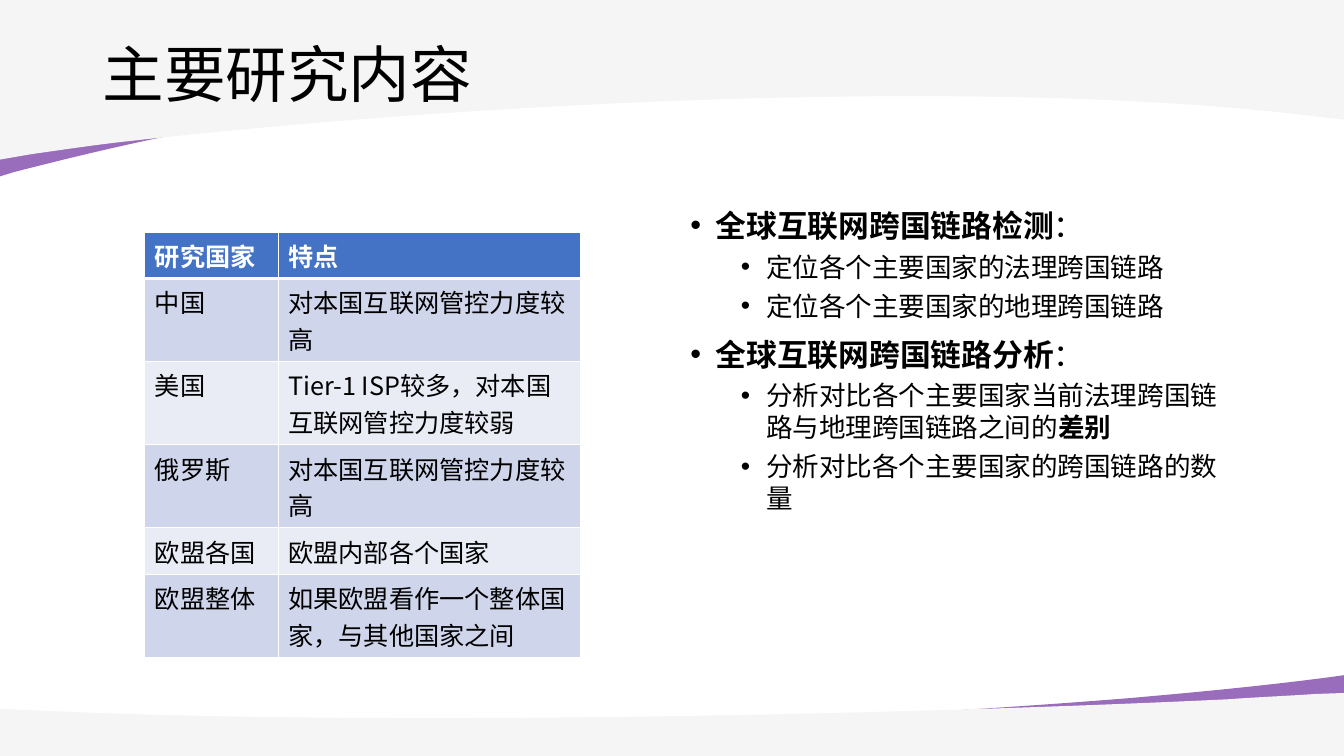
from lxml.etree import SubElement
from pptx import Presentation
from pptx.dml.color import RGBColor
from pptx.enum.text import MSO_ANCHOR, MSO_AUTO_SIZE, PP_ALIGN
from pptx.oxml.ns import qn
from pptx.util import Emu, Pt

PX = 9525
FONT = "Noto Sans CJK SC"
COLORS = {
    "purple": "7030A0",
    "grey": "F5F5F5",
    "black": "000000",
    "white": "FFFFFF",
    "header": "4472C4",
    "odd_row": "CFD5EA",
    "even_row": "E9EBF5",
}

# Each wave: colour, opacity in percent, outline (2 numbers: line, 6 numbers: curve)
WAVES = [
    ("purple", 70, [(1280, 643), (1280, 706), (0, 706), (0, 680),
                    (289, 711, 787, 688, 1074, 665),
                    (1131, 660, 1197, 654, 1266, 645)]),
    ("grey", 100, [(1280, 660), (1280, 720), (0, 720), (0, 675), (42, 677),
                   (376, 692, 874, 680, 1170, 666),
                   (1196, 664, 1223, 663, 1252, 661)]),
    ("purple", 70, [(0, 168), (0, 33), (1280, 33), (1280, 88),
                    (991, 21, 493, 69, 205, 121),
                    (148, 131, 83, 146, 13, 164)]),
    ("grey", 100, [(0, 152), (0, 0), (1280, 0), (1280, 114), (1237, 109),
                   (904, 71, 406, 102, 109, 136),
                   (84, 139, 57, 143, 29, 147)]),
]

COUNTRIES = [
    ("研究国家", "特点"),
    ("中国", "对本国互联网管控力度较高"),
    ("美国", "Tier-1 ISP较多，对本国互联网管控力度较弱"),
    ("俄罗斯", "对本国互联网管控力度较高"),
    ("欧盟各国", "欧盟内部各个国家"),
    ("欧盟整体", "如果欧盟看作一个整体国家，与其他国家之间"),
]

# Each topic: level, then runs of (text, bold)
TOPICS = [
    (0, [("全球互联网跨国链路检测", True), ("：", False)]),
    (1, [("定位各个主要国家的法理跨国链路", False)]),
    (1, [("定位各个主要国家的地理跨国链路", False)]),
    (0, [("全球互联网跨国链路分析", True), ("：", False)]),
    (1, [("分析对比各个主要国家当前法理跨国链路与地理跨国链路之间的", False),
         ("差别", True)]),
    (1, [("分析对比各个主要国家的跨国链路的数量", False)]),
]
LEVELS = [  # size pt, space before pt, left indent px
    (22, 10, 24),
    (19, 5, 72),
]


def px(length):
    return Emu(length * PX)


def rgb(name):
    return RGBColor.from_string(COLORS[name])


def add_run(paragraph, text, size, color="black", bold=False):
    run = paragraph.add_run()
    run.text = text
    run.font.size = Pt(size)
    run.font.bold = bold
    run.font.name = FONT
    run.font.color.rgb = rgb(color)
    SubElement(run.font._element, qn("a:ea"), typeface=FONT)


def bend_sides(wave, outline):
    """Turn the straight sides that have control points into cubic curves."""
    left = min(step[-2] for step in outline)
    top = min(step[-1] for step in outline)
    sides = wave.element.spPr.findall(".//" + qn("a:lnTo"))
    for side, step in zip(sides, outline[1:]):
        if len(step) == 2:
            continue
        side.tag = qn("a:cubicBezTo")
        side.remove(side[0])
        for x, y in zip(step[::2], step[1::2]):
            SubElement(side, qn("a:pt"), x=str(x - left), y=str(y - top))


def add_wave(slide, color, opacity, outline):
    start, *corners = [step[-2:] for step in outline]
    builder = slide.shapes.build_freeform(*start, scale=PX)
    builder.add_line_segments(corners, close=False)
    wave = builder.convert_to_shape()
    bend_sides(wave, outline)
    SubElement(wave.element.spPr.find(".//" + qn("a:path")), qn("a:close"))
    wave.shadow.inherit = False
    wave.line.fill.background()
    wave.fill.solid()
    wave.fill.fore_color.rgb = rgb(color)
    if opacity < 100:
        tint = wave.element.spPr.find(qn("a:solidFill"))[0]
        SubElement(tint, qn("a:alpha"), val=str(opacity * 1000))


def place(placeholder, left, top, width, height):
    """Position a placeholder in front of everything drawn so far."""
    placeholder.left, placeholder.top = px(left), px(top)
    placeholder.width, placeholder.height = px(width), px(height)
    placeholder.element.getparent().append(placeholder.element)
    frame = placeholder.text_frame
    frame.auto_size = MSO_AUTO_SIZE.NONE
    frame.word_wrap = True
    return frame


def fill_title(title):
    frame = place(title, 88, 0, 1104, 139)
    frame.vertical_anchor = MSO_ANCHOR.MIDDLE
    heading = frame.paragraphs[0]
    heading.alignment = PP_ALIGN.LEFT
    add_run(heading, "主要研究内容", 44)


def fill_topics(body):
    frame = place(body, 648, 192, 544, 457)
    for i, (level, runs) in enumerate(TOPICS):
        size, space, indent = LEVELS[level]
        topic = frame.add_paragraph() if i else frame.paragraphs[0]
        topic.level = level
        topic.line_spacing = 1.0
        topic.space_before = Pt(space)
        props = topic._p.get_or_add_pPr()
        props.set("marL", str(px(indent)))
        props.set("indent", str(px(-24)))
        SubElement(props, qn("a:buFont"), typeface="Arial")
        SubElement(props, qn("a:buChar"), char="•")
        for text, bold in runs:
            add_run(topic, text, size, bold=bold)


def set_borders(cell, top, bottom):
    props = cell._tc.get_or_add_tcPr()
    for side, width in (("L", 1), ("R", 1), ("T", top), ("B", bottom)):
        border = SubElement(props, qn(f"a:ln{side}"), w=str(Pt(width)))
        fill = SubElement(border, qn("a:solidFill"))
        SubElement(fill, qn("a:srgbClr"), val=COLORS["white"])


def add_country_table(slide):
    row_height = 39
    table = slide.shapes.add_table(
        len(COUNTRIES), 2, px(138), px(221), px(415),
        px(row_height * len(COUNTRIES))).table
    for column, width in zip(table.columns, (127, 288)):
        column.width = px(width)
    for r, texts in enumerate(COUNTRIES):
        header = r == 0
        band = "header" if header else "odd_row" if r % 2 else "even_row"
        for c, text in enumerate(texts):
            cell = table.cell(r, c)
            set_borders(cell, 3 if r == 1 else 1, 3 if header else 1)
            cell.fill.solid()
            cell.fill.fore_color.rgb = rgb(band)
            add_run(cell.text_frame.paragraphs[0], text, 18,
                    "white" if header else "black", header)


def main():
    deck = Presentation()
    deck.slide_width, deck.slide_height = px(1280), px(720)
    slide = deck.slides.add_slide(deck.slide_layouts[1])
    for wave in WAVES:
        add_wave(slide, *wave)
    fill_title(slide.shapes.title)
    fill_topics(slide.placeholders[1])
    add_country_table(slide)
    deck.save("out.pptx")


if __name__ == "__main__":
    main()
